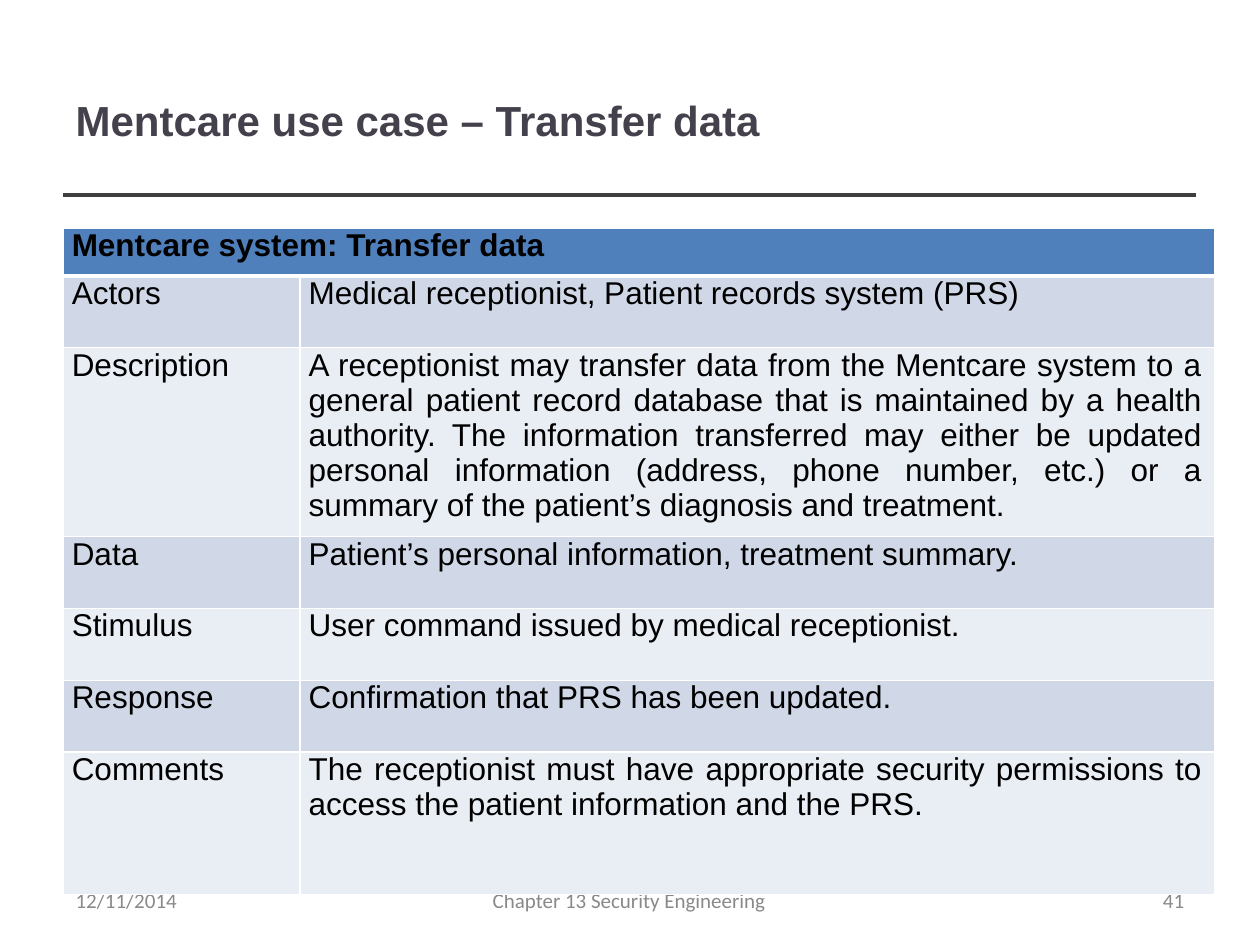
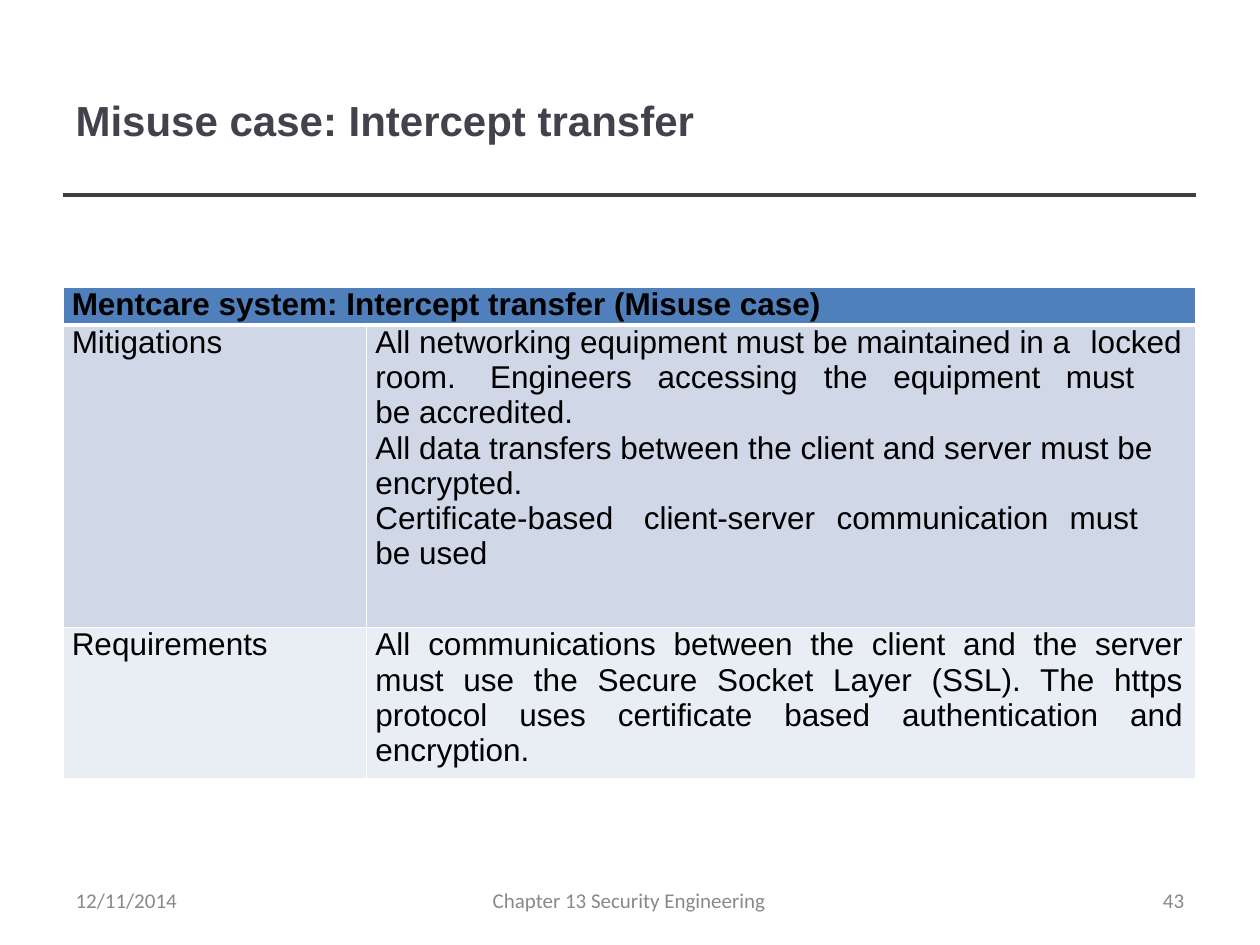
import pptx
import pptx.dml.color
import pptx.enum.shapes
import pptx.enum.text
import pptx.oxml
import pptx.oxml.ns
import pptx.util
from lxml import etree
from pptx.util import Inches

ALIGN = pptx.enum.text.PP_ALIGN
ANCHOR = pptx.enum.text.MSO_ANCHOR
qn = pptx.oxml.ns.qn

TITLE, RULE, FOOTER, INK = "45414C", "3F3F3F", "898989", "000000"
HEADER, BANDS, GRID = "4F80BC", ("D0D8E8", "E9EDF4"), "FFFFFF"


def color(hex_code):
    return pptx.dml.color.RGBColor.from_string(hex_code)


class Builder:
    """Holds the deck, the shared style and the current slide."""

    def __init__(self):
        self.deck = pptx.Presentation()
        self.deck.slide_width = Inches(10)
        self.deck.slide_height = Inches(7.5)
        self.page = None

    def style(self, para, size, hex_code, font="Arial", bold=False, spacing=None):
        if spacing:
            para.line_spacing = pptx.util.Pt(spacing)
        for span in para.runs:
            span.font.name = font
            span.font.size = pptx.util.Pt(size)
            span.font.bold = bold
            span.font.color.rgb = color(hex_code)

    def margins(self, frame, left=0, top=0):
        frame.margin_left, frame.margin_top = Inches(left), Inches(top)
        frame.margin_right = frame.margin_bottom = 0
        frame.word_wrap = True
        frame.vertical_anchor = ANCHOR.TOP

    def start_page(self, title, number):
        self.page = self.deck.slides.add_slide(self.deck.slide_layouts[5])
        self.title(title)
        for right in (8.49, 9.49):
            self.rule(0.5, right, 1.55)
        self.footer("12/11/2014", 0.59, 0.83)
        self.footer("Chapter 13 Security Engineering", 3.9, 2.19)
        self.footer(number, 9.2, 0.22, indent=0.03)

    def title(self, text):
        box = self.page.shapes.title
        box.left, box.top = Inches(0.59), Inches(0.52)
        box.width, box.height = Inches(8.83), Inches(0.81)
        frame = box.text_frame
        frame.text = text
        frame.auto_size = pptx.enum.text.MSO_AUTO_SIZE.NONE
        self.margins(frame, 0.01, 0.23)
        frame.paragraphs[0].alignment = ALIGN.LEFT
        self.style(frame.paragraphs[0], 24, TITLE, bold=True)

    def rule(self, left, right, top):
        line = self.page.shapes.add_connector(
            pptx.enum.shapes.MSO_CONNECTOR.STRAIGHT,
            Inches(left), Inches(top), Inches(right), Inches(top))
        line.line.color.rgb = color(RULE)
        line.line.width = pptx.util.Pt(2.16)
        etree.SubElement(line._element.spPr, qn("a:effectLst"))

    def footer(self, text, left, width, indent=0.01):
        box = self.page.shapes.add_textbox(
            Inches(left), Inches(7.07), Inches(width), Inches(0.19))
        frame = box.text_frame
        frame.text = text
        self.margins(frame, indent)
        frame.word_wrap = False
        self.style(frame.paragraphs[0], 12, FOOTER, "Calibri", spacing=12.4)

    def borders(self, cell, top, bottom):
        properties = cell._tc.get_or_add_tcPr()
        for side, width in (("L", 1), ("R", 1), ("T", top), ("B", bottom)):
            line = etree.SubElement(properties, qn("a:ln" + side),
                                    w=str(pptx.util.Pt(width)))
            fill = etree.SubElement(line, qn("a:solidFill"))
            etree.SubElement(fill, qn("a:srgbClr"), val=GRID)

    def tabs(self, para, stops):
        tab_list = etree.SubElement(para._p.get_or_add_pPr(), qn("a:tabLst"))
        for place, side in stops:
            etree.SubElement(tab_list, qn("a:tab"), pos=str(Inches(place)), algn=side)

    def cell(self, cell, paragraphs, row):
        """Each paragraph is a tuple of text, alignment and tab stops."""
        self.borders(cell, 3 if row == 1 else 1, 3 if row == 0 else 1)
        cell.fill.solid()
        cell.fill.fore_color.rgb = color(BANDS[(row - 1) % 2] if row else HEADER)
        cell.margin_left, cell.margin_right = Inches(0.07), Inches(0.1)
        cell.margin_top = cell.margin_bottom = 0
        cell.text_frame.text = "\n".join(text for text, _, _ in paragraphs)
        for para, (_, align, stops) in zip(cell.text_frame.paragraphs, paragraphs):
            para.alignment = align
            self.style(para, 18, INK, bold=row == 0, spacing=20.1)
            if stops:
                self.tabs(para, stops)

    def table(self, top, widths, heights, heading, rows):
        frame = self.page.shapes.add_table(
            len(heights), 2, Inches(0.5), Inches(top),
            Inches(sum(widths)), Inches(sum(heights)))
        table = frame.table
        for column, width in zip(table.columns, widths):
            column.width = Inches(width)
        for row, height in zip(table.rows, heights):
            row.height = Inches(height)
        self.cell(table.cell(0, 0), [plain(heading)], 0)
        self.cell(table.cell(0, 1), [plain("")], 0)
        table.cell(0, 0).merge(table.cell(0, 1))
        for index, (label, paragraphs) in enumerate(rows, 1):
            self.cell(table.cell(index, 0), [plain(label)], index)
            self.cell(table.cell(index, 1), paragraphs, index)


def plain(text):
    return text, ALIGN.LEFT, ()


def justified(text):
    return text, ALIGN.JUSTIFY, ()


def tabbed(text, *places, side="l"):
    return text, ALIGN.LEFT, [(place, side) for place in places]


def main():
    builder = Builder()

    # Use case
    builder.start_page("Mentcare use case – Transfer data", "41")
    builder.table(
        1.81, (1.88, 7.26), (0.38, 0.57, 1.5, 0.57, 0.57, 0.57, 1.13),
        "Mentcare system: Transfer data",
        [("Actors", [plain("Medical receptionist, Patient records system (PRS)")]),
         ("Description", [justified(
             "A receptionist may transfer data from the Mentcare system to a general "
             "patient record database that is maintained by a health authority. The "
             "information transferred may either be updated personal information "
             "(address, phone number, etc.) or a summary of the patient’s diagnosis "
             "and treatment.")]),
         ("Data", [plain("Patient’s personal information, treatment summary.")]),
         ("Stimulus", [plain("User command issued by medical receptionist.")]),
         ("Response", [plain("Confirmation that PRS has been updated.")]),
         ("Comments", [justified(
             "The receptionist must have appropriate security permissions to access "
             "the patient information and the PRS.")])])

    # Misuse case
    builder.start_page("Misuse case: Intercept transfer", "43")
    builder.table(
        2.28, (2.41, 6.58), (0.3, 2.4, 1.2),
        "Mentcare system: Intercept transfer (Misuse case)",
        [("Mitigations", [
            tabbed("All networking equipment must be maintained in a\tlocked",
                   6.4, side="r"),
            tabbed("room.\tEngineers\taccessing\tthe\tequipment\tmust\tbe accredited.",
                   0.91, 2.24, 3.56, 4.11, 5.48, 6.22),
            plain("All data transfers between the client and server must be encrypted."),
            tabbed("Certificate-based\tclient-server\tcommunication\tmust\tbe used",
                   2.13, 3.66, 5.51, 6.22)]),
         ("Requirements", [justified(
             "All communications between the client and the server must use the Secure "
             "Socket Layer (SSL). The https protocol uses certificate based "
             "authentication and encryption.")])])

    builder.deck.save("out.pptx")


if __name__ == "__main__":
    main()
